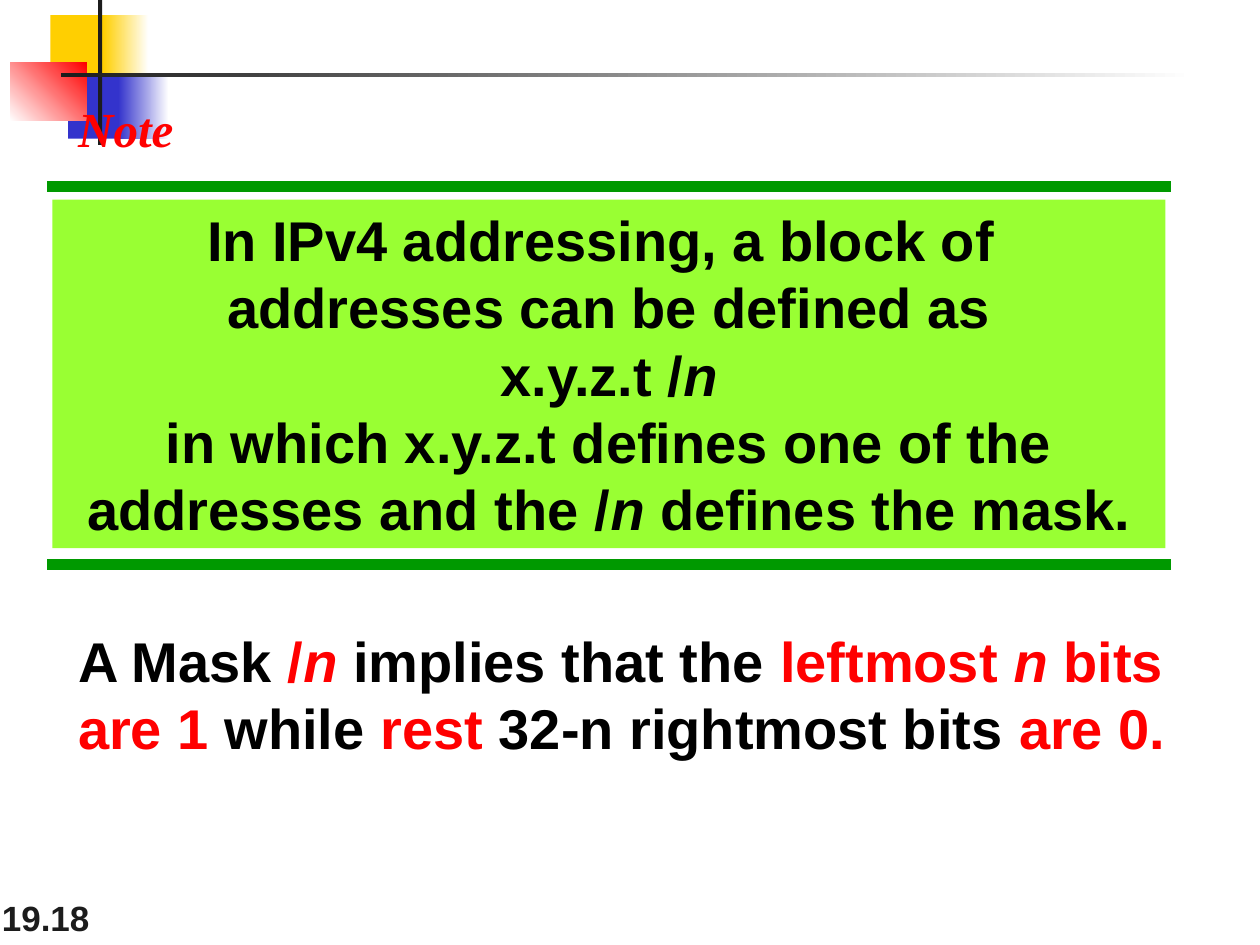
from pptx import Presentation
from pptx.dml.color import RGBColor
from pptx.enum.shapes import MSO_CONNECTOR, MSO_SHAPE
from pptx.enum.text import MSO_ANCHOR, MSO_AUTO_SIZE, PP_ALIGN
from pptx.util import Pt
from lxml import etree

RECT = MSO_SHAPE.RECTANGLE
LINE = MSO_CONNECTOR.STRAIGHT
LEFT, MID = PP_ALIGN.LEFT, PP_ALIGN.CENTER
TOP, BASE = MSO_ANCHOR.TOP, MSO_ANCHOR.BOTTOM
GROW, FIXED = MSO_AUTO_SIZE.SHAPE_TO_FIT_TEXT, MSO_AUTO_SIZE.NONE
GOLD = RGBColor(0xFF, 0xCF, 0x01)
BLUE = RGBColor(0x33, 0x33, 0xCC)
RED = RGBColor(0xFF, 0, 0)
INK = RGBColor(0x1C, 0x1C, 0x1C)
BLACK = RGBColor(0, 0, 0)
WHITE = RGBColor(0xFF, 0xFF, 0xFF)
GREEN = RGBColor(0, 0x99, 0)
LIME = RGBColor(0x99, 0xFF, 0x33)
BREAK = "\v"

NOTE = [[("Note", RED, True)]]
PAGE = [[("19.18", INK, False)]]
RULE = [
    [("In IPv4 addressing, a block of ", BLACK, False), (BREAK, BLACK, False),
     ("addresses can be defined as", BLACK, False)],
    [("x.y.z.t /", BLACK, False), ("n", BLACK, True)],
    [("in which x.y.z.t defines one of the addresses and the /", BLACK, False),
     ("n", BLACK, True), (" defines the mask.", BLACK, False)],
]
MASK = [
    [("A Mask ", BLACK, False), ("/", RED, False), ("n", RED, True),
     (" implies that the ", BLACK, False), ("leftmost ", RED, False),
     ("n", RED, True), (" bits", RED, False)],
    [("are 1", RED, False), (" while ", BLACK, False), ("rest", RED, False),
     (" 32-n rightmost bits ", BLACK, False), ("are 0.", RED, False)],
]
ART = [
    ((28.8, 8.6, 34.6, 37.4), [GOLD], 0),
    ((59, 8.6, 25.9, 37.4), [GOLD, WHITE], 0),
    ((38.9, 41.8, 33.1, 37.4), [BLUE], 0),
    ((67.7, 41.8, 28.8, 37.4), [BLUE, WHITE], 0),
    ((5.8, 36, 43.9, 33.1), [WHITE, RED], 45),
    ((56, 0, 2.4, 82.8), [INK], 0),
    ((34.6, 41.8, 648, 2.4), [INK, WHITE], 0),
]
BARS = [106.6, 322.6]


def pts(box):
    return [Pt(n) for n in box]


def block(box, tints, turn=0):
    shape = slide.shapes.add_shape(RECT, *pts(box))
    shape.shadow.inherit = False
    shape.line.fill.background()
    if len(tints) == 1:
        shape.fill.solid()
        shape.fill.fore_color.rgb = tints[0]
    else:
        shape.fill.gradient()
        shape.fill.gradient_angle = turn
        for stop, tint in zip(shape.fill.gradient_stops, tints):
            stop.color.rgb = tint
    return shape


def write(shape, paras, size, face="Arial", align=LEFT, anchor=TOP, wrap=True, fit=GROW):
    frame = shape.text_frame
    frame.word_wrap, frame.auto_size = wrap, fit
    frame.vertical_anchor = anchor
    for i, parts in enumerate(paras):
        para = frame.add_paragraph() if i else frame.paragraphs[0]
        para.alignment = align
        para.line_spacing = Pt(size * 1.2)
        for text, tint, slant in parts:
            if text == BREAK:
                para.add_line_break()
                continue
            run = para.add_run()
            run.text = text
            font = run.font
            font.name, font.size = face, Pt(size)
            font.bold, font.italic = True, slant
            font.color.rgb = tint


deck = Presentation()
deck.slide_width, deck.slide_height = Pt(720), Pt(540)
slide = deck.slides.add_slide(deck.slide_layouts[5])

page = slide.shapes.add_textbox(*pts((-6, 504, 150, 36)))
write(page, PAGE, 20, anchor=BASE, fit=FIXED)

for box, tints, turn in ART:
    block(box, tints, turn)

for y in BARS:
    bar = slide.shapes.add_connector(LINE, *pts((27, y, 669, y)))
    bar.line.color.rgb = GREEN
    bar.line.width = Pt(6)
    props = bar.element.spPr
    etree.SubElement(props, "{http://schemas.openxmlformats.org/drawingml/2006/main}effectLst")

write(block((30, 114, 636, 199.2), [LIME]), RULE, 32, align=MID)

title = slide.shapes.title
title.left, title.top, title.width, title.height = pts((37.5, 52.6, 74, 41))
write(title, NOTE, 28, "Times New Roman", fit=FIXED)
title.element.getparent().append(title.element)

mask = slide.shapes.add_textbox(*pts((37.5, 354.2, 644.4, 84)))
write(mask, MASK, 32, wrap=False)

deck.save("out.pptx")
